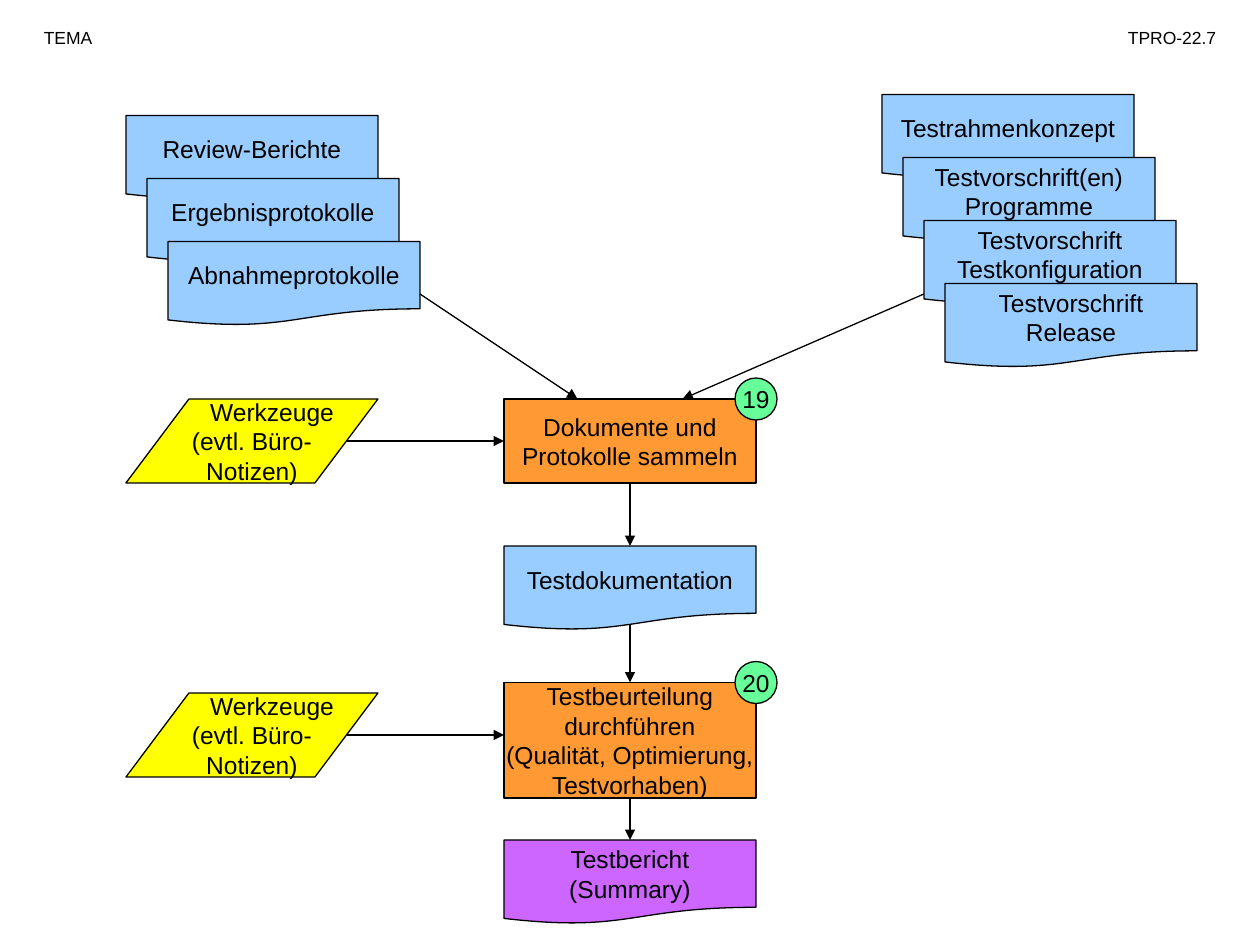
from pptx import Presentation
from pptx.dml.color import RGBColor as RGB
from pptx.enum.shapes import MSO_CONNECTOR as LINE, MSO_SHAPE as GEO
from pptx.enum.text import MSO_ANCHOR as ANCHOR, PP_ALIGN as ALIGN
from pptx.oxml.ns import qn
from pptx.util import Pt
from lxml import etree

HUES = {
    "ink": "000000",
    "doc": "99CCFF",
    "task": "FF9933",
    "tool": "FFFF00",
    "mark": "66FF99",
    "end": "CC66FF",
}
WIDE, HIGH = 144, 48
MID = 288

deck = Presentation()
deck.slide_width, deck.slide_height = Pt(720), Pt(540)
slide = deck.slides.add_slide(deck.slide_layouts[6])
shapes = slide.shapes


def write(box, text, size, align):
    frame = box.text_frame
    frame.text = text
    for para in frame.paragraphs:
        para.alignment = align
        look = {"name": "Arial", "size": Pt(size)}
        for key, value in look.items():
            setattr(para.font, key, value)
        para.font.color.rgb = RGB.from_string(HUES["ink"])
    return frame


def draw(geo, hue, text, left, top, wide=WIDE, high=HIGH):
    shape = shapes.add_shape(geo, Pt(left), Pt(top), Pt(wide), Pt(high))
    shape.shadow.inherit = False
    shape.fill.solid()
    shape.fill.fore_color.rgb = RGB.from_string(HUES[hue])
    shape.line.color.rgb = RGB.from_string(HUES["ink"])
    shape.line.width = Pt(0.75)
    frame = write(shape, text, 14, ALIGN.CENTER)
    frame.word_wrap = False
    frame.vertical_anchor = ANCHOR.MIDDLE
    return shape


# Header
for text, left, wide, align in [
    ("TEMA", 18, 66, ALIGN.LEFT),
    ("TPRO-22.7", 624, 78, ALIGN.RIGHT),
]:
    box = shapes.add_textbox(Pt(left), Pt(12), Pt(wide), Pt(19.5))
    write(box, text, 10, align).word_wrap = True

# Main flow
draw(GEO.RECTANGLE, "task", "Dokumente und\nProtokolle sammeln", MID, 228)
draw(GEO.FLOWCHART_DOCUMENT, "doc", "Testdokumentation", MID, 312)
draw(GEO.RECTANGLE, "task",
     "Testbeurteilung\ndurchführen\n(Qualität, Optimierung,\nTestvorhaben)",
     MID, 390, high=66)
draw(GEO.FLOWCHART_DOCUMENT, "end", "Testbericht\n(Summary)", MID, 480)

# Stacks of input documents
stacks = [
    (504, 54, ["Testrahmenkonzept", "Testvorschrift(en)\nProgramme",
               "Testvorschrift\nTestkonfiguration", "Testvorschrift\nRelease"]),
    (72, 66, ["Review-Berichte", "Ergebnisprotokolle", "Abnahmeprotokolle"]),
]
for left, top, names in stacks:
    for i, name in enumerate(names):
        draw(GEO.FLOWCHART_DOCUMENT, "doc", name, left + 12 * i, top + 36 * i)

# Tools, with the first line shifted along the slant
for top in (228, 396):
    tool = draw(GEO.PARALLELOGRAM, "tool",
                "Werkzeuge\n(evtl. Büro-\nNotizen)", 72, top)
    tool.adjustments[0] = 0.75
    first = tool.text_frame.paragraphs[0]
    first._p.get_or_add_pPr().set("marL", str(Pt(23)))

# Step numbers
for text, top in [("19", 216), ("20", 378)]:
    draw(GEO.OVAL, "mark", text, 420, top, 24, 24)

# Arrows
for x1, y1, x2, y2 in [
    (198, 252, MID, 252),
    (198, 420, MID, 420),
    (360, 276, 360, 312),
    (360, 357, 360, 390),
    (360, 456, 360, 480),
    (528, 168, 390, 228),
    (240, 168, 330, 228),
]:
    arrow = shapes.add_connector(LINE.STRAIGHT, Pt(x1), Pt(y1), Pt(x2), Pt(y2))
    arrow.line.color.rgb = RGB.from_string(HUES["ink"])
    arrow.line.width = Pt(0.75)
    etree.SubElement(arrow.line._get_or_add_ln(), qn("a:tailEnd"), type="triangle")
    etree.SubElement(arrow._element.spPr, qn("a:effectLst"))

deck.save("out.pptx")
